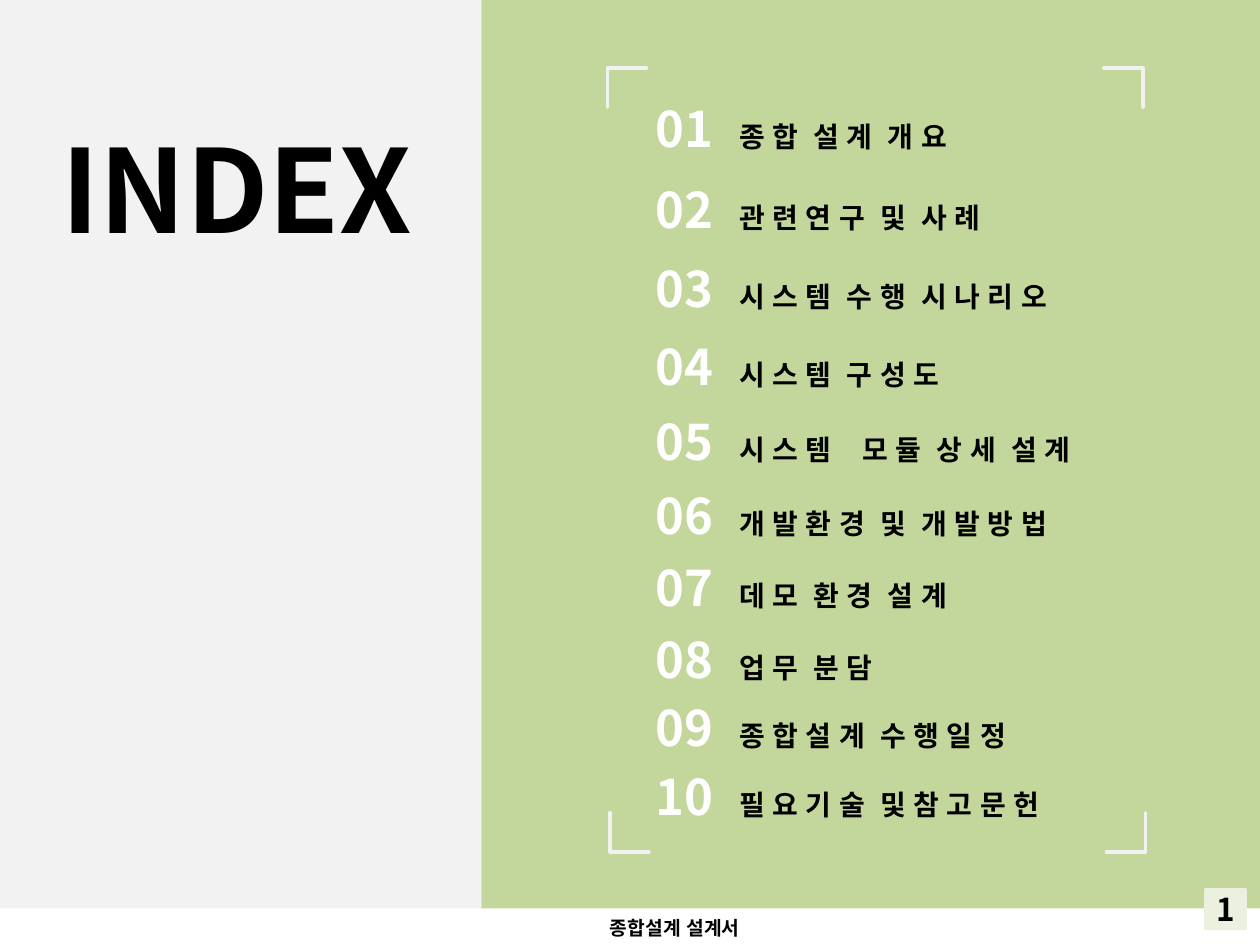
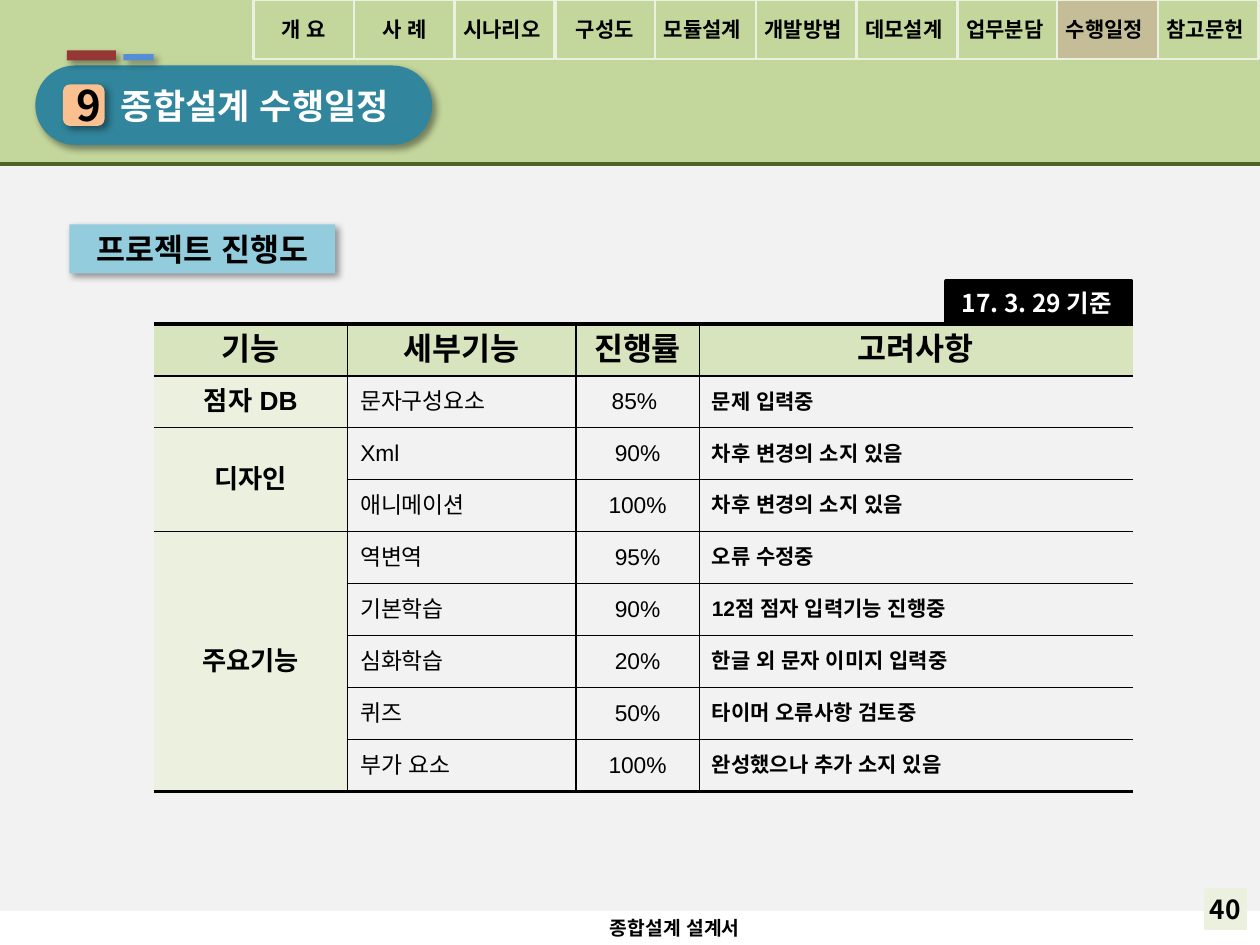
import pptx
import pptx.dml.color
import pptx.enum.shapes
import pptx.enum.text
import pptx.oxml
import pptx.oxml.ns
import pptx.util
from dataclasses import dataclass

Inches = pptx.util.Inches
Pt = pptx.util.Pt
RGB = pptx.dml.color.RGBColor.from_string
Shape = pptx.enum.shapes.MSO_SHAPE
Align = pptx.enum.text.PP_ALIGN
Anchor = pptx.enum.text.MSO_ANCHOR
NAMESPACE = pptx.oxml.ns.nsdecls("a")


@dataclass(frozen=True)
class Theme:
    display: str = "Noto Sans CJK KR"
    plain: str = "Arial"
    black: str = "000000"
    white: str = "FFFFFF"
    gray: str = "F2F2F2"
    green: str = "C3D69B"
    pale_green: str = "EBF1DE"
    header_green: str = "D7E4BD"
    dark_green: str = "4F6228"
    tan: str = "C4BD97"
    teal: str = "31859C"
    sky: str = "93CDDD"
    peach: str = "FAC090"
    red: str = "953735"
    blue: str = "558ED5"
    index_size: int = 66
    number_size: int = 28
    label_size: int = 16
    title_size: int = 20
    heading_size: int = 18
    group_size: int = 15
    date_size: int = 14
    detail_size: int = 13
    small_size: int = 12
    footer_size: int = 11


theme = Theme()


def style_span(span, size, color=theme.black, bold=True, font=theme.display):
    span.font.size = Pt(size)
    span.font.bold = bold
    span.font.color.rgb = RGB(color)
    span.font.name = font
    east_asian = pptx.oxml.parse_xml(f'<a:ea {NAMESPACE} typeface="{theme.plain}"/>')
    span.font._element.find(pptx.oxml.ns.qn("a:latin")).addnext(east_asian)


def add_box(page, area, fill=None, line=None, line_width=2, text="", size=12,
            color=theme.black, kind=Shape.RECTANGLE, shadow=False):
    box = page.shapes.add_shape(kind, *map(Inches, area))
    box.shadow.inherit = False
    if fill:
        box.fill.solid()
        box.fill.fore_color.rgb = RGB(fill)
    else:
        box.fill.background()
    if line:
        box.line.color.rgb = RGB(line)
        box.line.width = Pt(line_width)
    else:
        box.line.fill.background()
    if shadow:
        effects = box.element.spPr.find(pptx.oxml.ns.qn("a:effectLst"))
        effects.append(pptx.oxml.parse_xml(
            f'<a:outerShdw {NAMESPACE} blurRad="{Pt(4)}" dist="{Pt(3)}" dir="2700000" '
            f'algn="tl" rotWithShape="0"><a:srgbClr val="{theme.black}">'
            '<a:alpha val="40000"/></a:srgbClr></a:outerShdw>'))
    if text:
        frame = box.text_frame
        frame.text = text
        frame.word_wrap = False
        frame.vertical_anchor = Anchor.MIDDLE
        frame.margin_left = frame.margin_right = 0
        frame.margin_top = frame.margin_bottom = 0
        frame.paragraphs[0].alignment = Align.CENTER
        style_span(frame.paragraphs[0].runs[0], size, color)
    return box


deck = pptx.Presentation()
deck.slide_width, deck.slide_height = Inches(10), Inches(7.5)
index_page = deck.slides.add_slide(deck.slide_layouts[1])
progress_page = deck.slides.add_slide(deck.slide_layouts[5])

# Index: panels and corner brackets
add_box(index_page, (0, 0, 3.82, 7.21), theme.gray)
add_box(index_page, (3.82, 0, 6.18, 7.21), theme.green)
for left, top, rotation in ((4.82, 0.54, 0), (8.76, 0.54, 90),
                            (4.84, 6.45, 270), (8.78, 6.45, 180)):
    bracket = add_box(index_page, (left, top, 0.31, 0.31), theme.blue, theme.gray,
                      kind=Shape.HALF_FRAME)
    bracket.adjustments[0] = bracket.adjustments[1] = 0
    bracket.rotation = rotation

# Index: numbered list, each entry with its line pitch in inches
entries = (
    ("종 합  설 계  개 요", 0.64),
    ("관 련 연 구  및  사 례", 0.64),
    ("시 스 템  수 행  시 나 리 오", 0.63),
    ("시 스 템  구 성 도", 0.62),
    ("시 스 템    모 듈  상 세  설 계", 0.59),
    ("개 발 환 경  및  개 발 방 법", 0.59),
    ("데 모  환 경  설 계", 0.57),
    ("업 무  분 담", 0.57),
    ("종 합 설 계  수 행 일 정", 0.54),
    ("필 요 기 술  및 참 고 문 헌", 0.55),
)
index_list = index_page.placeholders[1]
index_list.left, index_list.top = Inches(5.2), Inches(0.61)
index_list.width, index_list.height = Inches(3.9), Inches(5.94)
frame = index_list.text_frame
frame.auto_size = pptx.enum.text.MSO_AUTO_SIZE.NONE
frame.vertical_anchor = Anchor.TOP
frame.margin_left = frame.margin_right = frame.margin_top = frame.margin_bottom = 0
for number, (label, pitch) in enumerate(entries, 1):
    para = frame.paragraphs[0] if number == 1 else frame.add_paragraph()
    para.line_spacing = Pt(round(pitch * 72, 1))
    para.space_before = Pt(0)
    number_span, gap_span, label_span = para.add_run(), para.add_run(), para.add_run()
    number_span.text = f"{number:02}"
    gap_span.text = " "
    label_span.text = label
    style_span(number_span, theme.number_size, theme.white)
    style_span(gap_span, theme.heading_size, theme.white, font=theme.plain)
    gap_span.font._element.set("spc", "1000")
    style_span(label_span, theme.label_size)
    settings = para._p.get_or_add_pPr()
    settings.set("marL", "0")
    settings.set("indent", "0")
    settings.append(pptx.oxml.parse_xml(f"<a:buNone {NAMESPACE}/>"))

# Progress: background, top band and rule
add_box(progress_page, (0, 1.32, 10, 5.91), theme.gray)
add_box(progress_page, (0, 0, 10, 1.31), theme.green)
rule = progress_page.shapes.add_connector(
    pptx.enum.shapes.MSO_CONNECTOR.STRAIGHT, 0, Inches(1.3), Inches(10), Inches(1.3))
rule.line.color.rgb = RGB(theme.dark_green)
rule.line.width = Pt(2.25)
rule.element.spPr.append(pptx.oxml.parse_xml(f"<a:effectLst {NAMESPACE}/>"))

# Progress: navigation tabs, long labels set slightly to the left
tabs = ("개 요", "사 례", "시나리오", "구성도", "모듈설계", "개발방법",
        "데모설계", "업무분담", "수행일정", "참고문헌")
current_tab = "수행일정"
for position, tab in enumerate(tabs):
    tab_box = add_box(progress_page, (round(2.01 + position * 0.798, 2), 0, 0.8, 0.47),
                      theme.tan if tab == current_tab else None, theme.pale_green, 1.5,
                      tab, theme.small_size)
    if len(tab) == 4:
        tab_box.text_frame.margin_right = Inches(0.05)

# Progress: title pill, section number and accents
pill = add_box(progress_page, (0.28, 0.52, 3.15, 0.63), theme.teal,
               kind=Shape.ROUNDED_RECTANGLE, shadow=True)
pill.adjustments[0] = 0.5
section = add_box(progress_page, (0.5, 0.67, 0.33, 0.33), theme.peach, text="9", size=24,
                  kind=Shape.ROUNDED_RECTANGLE, shadow=True)
section.text_frame.margin_left = Inches(0.09)
add_box(progress_page, (0.53, 0.4, 0.39, 0.08), theme.red, shadow=True)
add_box(progress_page, (0.98, 0.43, 0.24, 0.05), theme.blue, shadow=True)

# Progress: section heading and date
add_box(progress_page, (0.55, 1.78, 2.11, 0.39), theme.sky, text="프로젝트 진행도",
        size=theme.heading_size, shadow=True)
date = add_box(progress_page, (7.51, 2.23, 1.47, 0.34), theme.black, theme.black,
               text="17. 3. 29 기준", size=theme.date_size, color=theme.white)
date.text_frame.margin_right = Inches(0.03)

# Progress: table
rows = (
    ("기능", "세부기능", "진행률", "고려사항"),
    ("점자 DB", "문자구성요소", "85% ", "문제 입력중"),
    ("디자인", "Xml", "90%", "차후 변경의 소지 있음"),
    ("", "애니메이션", "100%", "차후 변경의 소지 있음"),
    ("주요기능", "역변역", "95%", "오류 수정중"),
    ("", "기본학습", "90%", "12점 점자 입력기능 진행중"),
    ("", "심화학습", "20%", "한글 외 문자 이미지 입력중"),
    ("", "퀴즈", "50%", "타이머 오류사항 검토중"),
    ("", "부가 요소", "100%", "완성했으나 추가 소지 있음"),
)
column_widths = (1.54, 1.81, 0.98, 3.44)
column_sizes = (theme.group_size, theme.detail_size, theme.detail_size, theme.small_size)
table = progress_page.shapes.add_table(
    len(rows), len(column_widths), Inches(1.22), Inches(2.57),
    Inches(7.77), Inches(3.71)).table
table.first_row = table.horz_banding = False
for column, width in zip(table.columns, column_widths):
    column.width = Inches(width)
for first, last in ((2, 3), (4, 8)):
    table.cell(first, 0).merge(table.cell(last, 0))

for row, values in enumerate(rows):
    for column, value in enumerate(values):
        cell = table.cell(row, column)
        cell.margin_top = cell.margin_bottom = Inches(0.02)
        if cell.is_spanned:
            continue
        header = row == 0
        at_bottom = row + max(cell.span_height, 1) == len(rows)
        borders = {
            "lnL": 1 if column else 0,
            "lnR": 1 if column < len(values) - 1 else 0,
            "lnT": 2.25 if header else 1,
            "lnB": 2.25 if at_bottom else 1,
        }
        for side, weight in borders.items():
            paint = (f'<a:solidFill><a:srgbClr val="{theme.black}"/></a:solidFill>'
                     if weight else "<a:noFill/>")
            cell._tc.get_or_add_tcPr().append(pptx.oxml.parse_xml(
                f'<a:{side} {NAMESPACE} w="{Pt(weight)}">{paint}</a:{side}>'))
        if header or column == 0:
            cell.fill.solid()
            cell.fill.fore_color.rgb = RGB(theme.header_green if header else theme.pale_green)
        else:
            cell.fill.background()
        cell.vertical_anchor = Anchor.MIDDLE
        cell.text_frame.text = value
        para = cell.text_frame.paragraphs[0]
        para.alignment = Align.CENTER if header or column in (0, 2) else Align.LEFT
        style_span(para.runs[0], theme.heading_size if header else column_sizes[column],
                   bold=header or column in (0, 3), font=theme.plain)

# Titles, footers and page numbers
for page, title_text, area, title_size, title_color, page_number, number_size in (
        (index_page, "INDEX", (0.39, 0.88, 3.3, 1.21), theme.index_size, theme.black, "1", 18),
        (progress_page, "종합설계 수행일정", (0.86, 0.52, 2.5, 0.63), theme.title_size,
         theme.white, "40", 15)):
    title = page.shapes.title
    title.left, title.top, title.width, title.height = map(Inches, area)
    add_box(page, (9.57, 7.06, 0.31, 0.31), theme.pale_green, theme.pale_green,
            text=page_number, size=number_size)
    footer = page.shapes.add_textbox(*map(Inches, (4.74, 7.22, 1.34, 0.29)))
    for box, text, size, color, font in (
            (title, title_text, title_size, title_color, theme.display),
            (footer, "종합설계 설계서", theme.footer_size, theme.black, theme.plain)):
        frame = box.text_frame
        frame.text = text
        frame.word_wrap = True
        frame.auto_size = pptx.enum.text.MSO_AUTO_SIZE.NONE
        frame.vertical_anchor = Anchor.MIDDLE
        frame.paragraphs[0].alignment = Align.LEFT
        style_span(frame.paragraphs[0].runs[0], size, color, font=font)

# Bring the placeholders in front of the panels
for placeholder in (index_page.shapes.title, index_list, progress_page.shapes.title):
    placeholder.element.getparent().append(placeholder.element)

deck.save("out.pptx")
